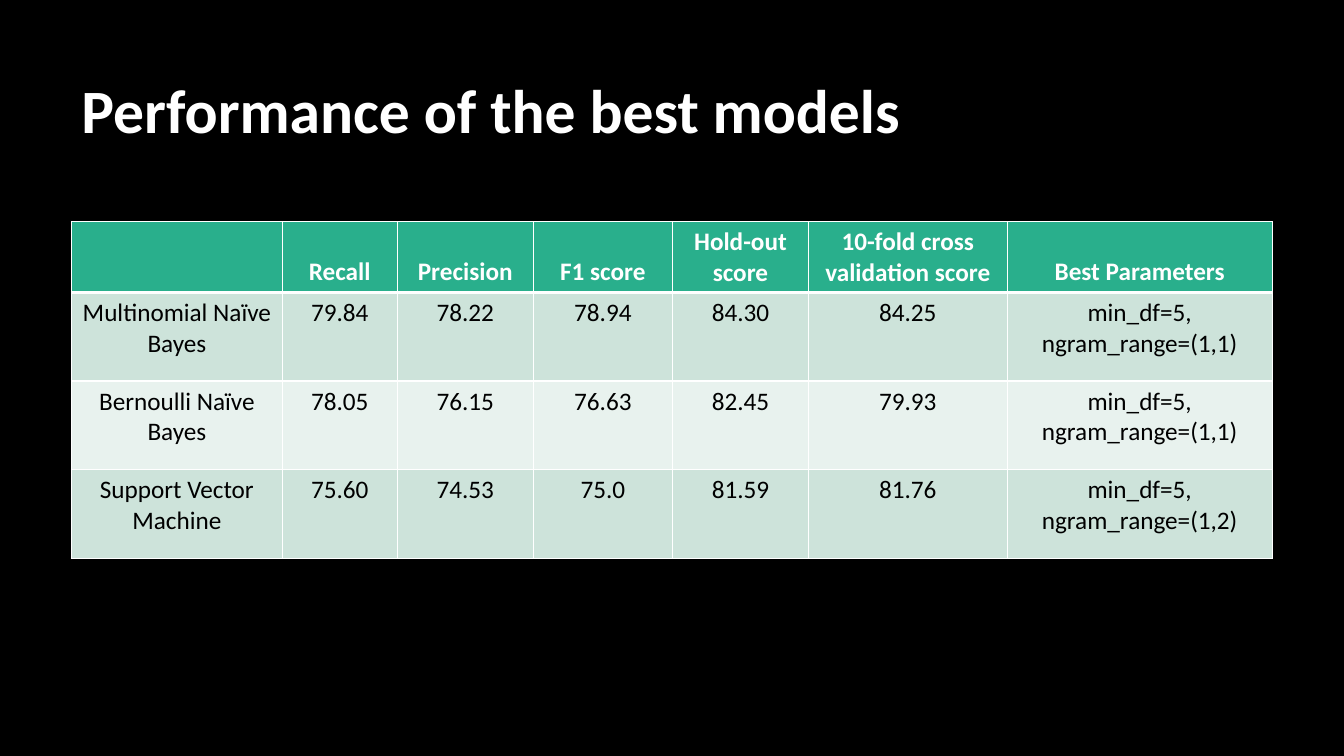
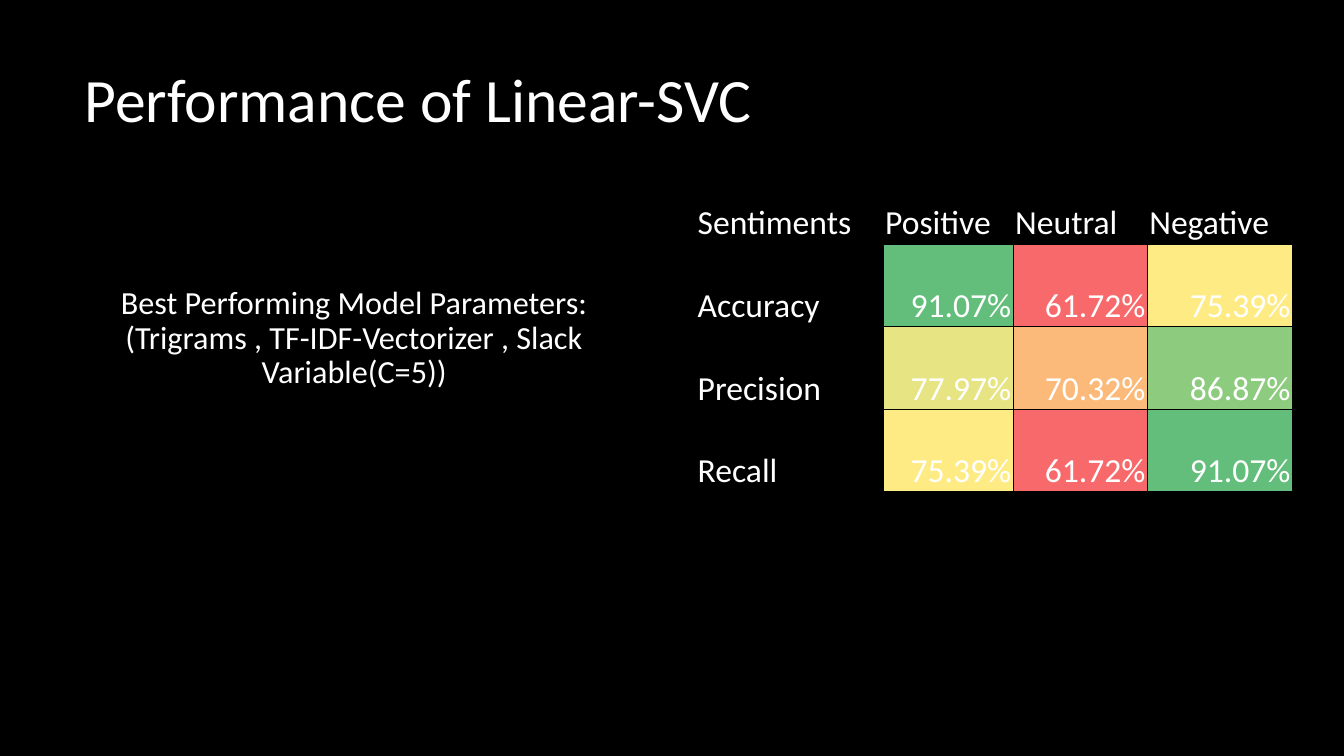
"""Build two slides on how well the text models perform."""
from lxml.etree import SubElement
from pptx import Presentation
from pptx.dml.color import RGBColor
from pptx.enum.text import MSO_ANCHOR, PP_ALIGN
from pptx.oxml.ns import qn
from pptx.util import Inches, Pt

FONT = "Calibri"
BLACK, WHITE = "000000", "FFFFFF"
HEAD, DARK, LIGHT = "29AF8C", "CDE3DA", "E8F2EE"
GREEN, RED, YELLOW = "63BE7B", "F8696B", "FFEB84"
LIME, ORANGE, LEAF = "E6E483", "FCBA7A", "8DCB7E"

MODELS = [
    ["", "Recall", "Precision", "F1 score", "Hold-out score",
     "10-fold cross validation score", "Best Parameters"],
    ["Multinomial Naïve Bayes", "79.84", "78.22", "78.94", "84.30", "84.25",
     "min_df=5, ngram_range=(1,1)"],
    ["Bernoulli Naïve Bayes", "78.05", "76.15", "76.63", "82.45", "79.93",
     "min_df=5, ngram_range=(1,1)"],
    ["Support Vector Machine", "75.60", "74.53", "75.0", "81.59", "81.76",
     "min_df=5, ngram_range=(1,2)"],
]
SCORES = [
    ["Sentiments", "Positive", "Neutral", "Negative"],
    ["Accuracy", "91.07%", "61.72%", "75.39%"],
    ["Precision", "77.97%", "70.32%", "86.87%"],
    ["Recall", "75.39%", "61.72%", "91.07%"],
]
HEAT = {"91.07%": GREEN, "61.72%": RED, "75.39%": YELLOW,
        "77.97%": LIME, "70.32%": ORANGE, "86.87%": LEAF}


def paint(target, color):
    """Set a solid colour on a fill."""
    target.solid()
    target.fore_color.rgb = RGBColor.from_string(color)


def style(frame, size, color=WHITE, bold=False, align=PP_ALIGN.LEFT, space=None):
    """Format every paragraph and run of a text frame."""
    for para in frame.paragraphs:
        para.alignment = align
        para.line_spacing = space
        for run in para.runs:
            font = run.font
            font.name, font.size, font.bold = FONT, Pt(size), bold
            font.color.rgb = RGBColor.from_string(color)


def add_slide(deck):
    """Add a blank slide with a black ground."""
    slide = deck.slides.add_slide(deck.slide_layouts[6])
    paint(slide.background.fill, BLACK)
    return slide


def add_text(slide, box, text, size, anchor=MSO_ANCHOR.MIDDLE, **look):
    """Add a text box that wraps."""
    frame = slide.shapes.add_textbox(*map(Inches, box)).text_frame
    frame.word_wrap = True
    frame.vertical_anchor = anchor
    frame.text = text
    style(frame, size, **look)


def add_title(slide, box, text, **look):
    """Add a slide title."""
    add_text(slide, box, text, 44, **look)


def add_edges(cell, color, widths):
    """Draw the left, right, top and bottom edges of a cell."""
    props = cell._tc.get_or_add_tcPr()
    for spot, (side, width) in enumerate(zip("LRTB", widths)):
        line = SubElement(props, qn(f"a:ln{side}"), w=str(Pt(width)))
        fill = SubElement(line, qn("a:solidFill"))
        SubElement(fill, qn("a:srgbClr"), val=color)
        props.insert(spot, line)


def add_grid(slide, spot, cols, rows, data, dress):
    """Add a table and dress each of its cells."""
    area = *spot, sum(cols), sum(rows)
    table = slide.shapes.add_table(
        len(rows), len(cols), *map(Inches, area)).table
    table.first_row = table.horz_banding = False
    for col, width in zip(table.columns, cols):
        col.width = Inches(width)
    for row, height in zip(table.rows, rows):
        row.height = Inches(height)
    for r, texts in enumerate(data):
        for c, text in enumerate(texts):
            cell = table.cell(r, c)
            cell.text_frame.text = text
            dress(cell, r, c)


def dress_model(cell, row, col):
    """Style a cell of the model table."""
    head = row == 0
    paint(cell.fill, HEAD if head else DARK if row % 2 else LIGHT)
    cell.vertical_anchor = MSO_ANCHOR.BOTTOM if head else MSO_ANCHOR.TOP
    style(cell.text_frame, 18, WHITE if head else BLACK, head, PP_ALIGN.CENTER)
    add_edges(cell, WHITE, (1, 1, 3 if row == 1 else 1, 3 if head else 1))


def dress_score(cell, row, col):
    """Style a cell of the heat map."""
    text = cell.text_frame.text
    if text in HEAT:
        paint(cell.fill, HEAT[text])
    else:
        cell.fill.background()
    cell.vertical_anchor = MSO_ANCHOR.BOTTOM
    cell.margin_left = cell.margin_right = cell.margin_top = Inches(0.02)
    cell.margin_bottom = 0
    style(cell.text_frame, 24,
          align=PP_ALIGN.RIGHT if text in HEAT else PP_ALIGN.LEFT)
    add_edges(cell, BLACK, [0.5] * 4)


def add_models(deck):
    """Build the slide that compares the best models."""
    slide = add_slide(deck)
    add_title(slide, (0.71, 0.4, 11.5, 1.45), "Performance of the best models",
              bold=True, space=0.9)
    add_grid(slide, (0.71, 2.2), [2.09, 1.14, 1.35, 1.38, 1.35, 1.97, 2.63],
             [0.7] + [0.88] * 3, MODELS, dress_model)


def add_scores(deck):
    """Build the slide on the linear model."""
    slide = add_slide(deck)
    add_text(slide, (0.85, 1.94, 5.33, 2.84),
             "Best Performing Model Parameters:\n"
             "(Trigrams , TF-IDF-Vectorizer , Slack Variable(C=5))",
             23, align=PP_ALIGN.CENTER, space=0.9)
    add_grid(slide, (6.9, 1.6), [1.86, 1.29, 1.33, 1.44], [0.82] * 4,
             SCORES, dress_score)
    add_title(slide, (0.74, 0.56, 6.97, 0.84), "Performance of Linear-SVC",
              anchor=MSO_ANCHOR.TOP)


def main():
    """Build and save the deck."""
    deck = Presentation()
    deck.slide_width, deck.slide_height = Inches(13.33), Inches(7.5)
    add_models(deck)
    add_scores(deck)
    deck.save("out.pptx")


if __name__ == "__main__":
    main()
